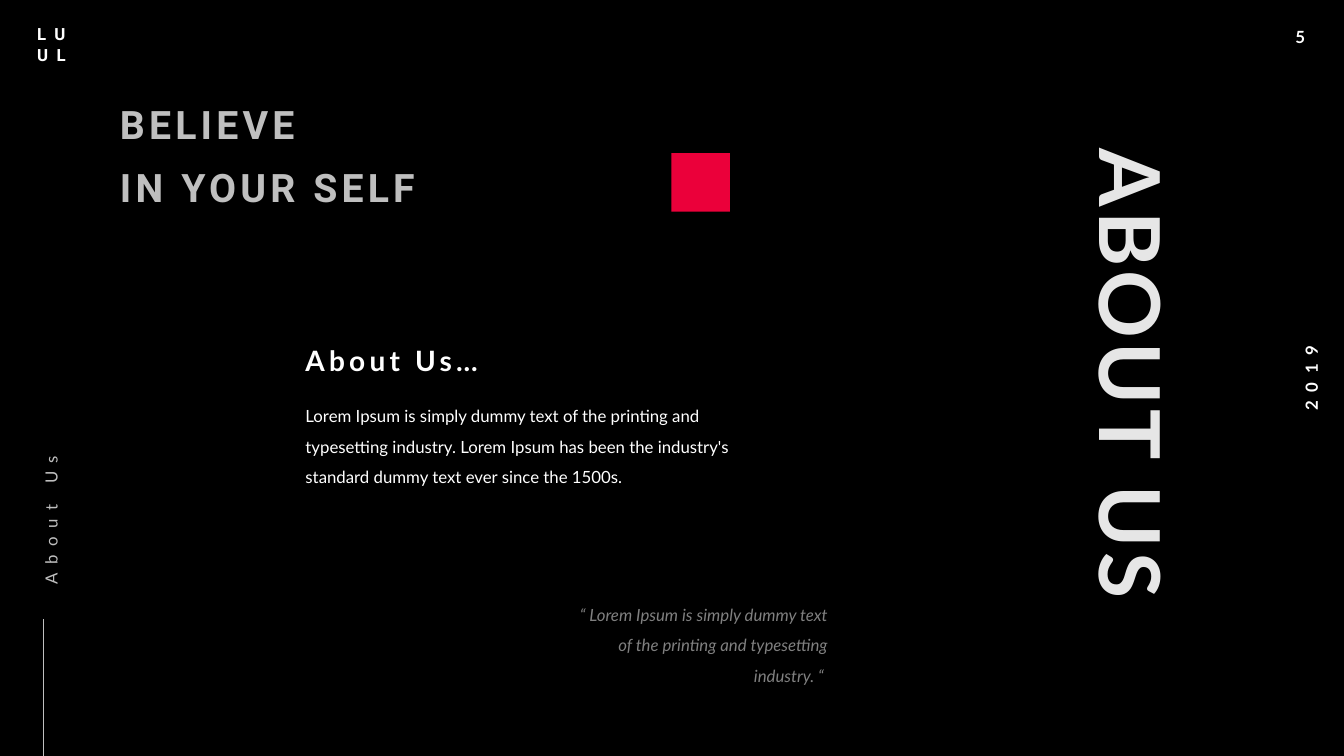
from lxml import etree
from pptx import Presentation
from pptx.dml.color import RGBColor
from pptx.enum.shapes import MSO_CONNECTOR, MSO_SHAPE
from pptx.enum.text import MSO_ANCHOR, MSO_AUTO_SIZE, PP_ALIGN
from pptx.oxml.ns import qn
from pptx.util import Inches, Pt

LEFT, MID, RIGHT = PP_ALIGN.LEFT, PP_ALIGN.CENTER, PP_ALIGN.RIGHT
TOP = MSO_ANCHOR.TOP
GROW = MSO_AUTO_SIZE.SHAPE_TO_FIT_TEXT
RECT = MSO_SHAPE.RECTANGLE
LINE = MSO_CONNECTOR.STRAIGHT

THEME = {
    "color": {
        "black": RGBColor.from_string("000000"),
        "white": RGBColor.from_string("FFFFFF"),
        "pale": RGBColor.from_string("E6E6E6"),
        "silver": RGBColor.from_string("BFBFBF"),
        "gray": RGBColor.from_string("808080"),
        "red": RGBColor.from_string("EB003A"),
    },
    "size": {"text": Pt(12), "head": Pt(20), "motto": Pt(28), "title": Pt(60)},
}
COLOR, SIZE = THEME["color"], THEME["size"]


def place(shape, box, turn=0):
    shape.left, shape.top, shape.width, shape.height = map(Inches, box)
    shape.rotation = turn


def write(shape, lines, size, color, font="Lato", bold=False, italic=False,
          track=0, align=LEFT, pitch=1.0, gap=0, flush=True, wrap=True):
    frame = shape.text_frame
    frame.word_wrap = wrap
    frame.auto_size = GROW
    frame.vertical_anchor = TOP
    if flush:
        frame.margin_left = frame.margin_top = frame.margin_bottom = 0
    for i, line in enumerate(lines):
        para = frame.add_paragraph() if i else frame.paragraphs[0]
        para.alignment = align
        para.line_spacing = pitch
        para.space_before = Pt(gap if i else 0)
        run = para.add_run()
        run.text = line
        run.font.name = font
        run.font.size = SIZE[size]
        run.font.bold = bold
        run.font.italic = italic
        run.font.color.rgb = COLOR[color]
        if track:
            run._r.get_or_add_rPr().set("spc", str(track * 100))


deck = Presentation()
deck.slide_width, deck.slide_height = Inches(13.33), Inches(7.5)
slide = deck.slides.add_slide(deck.slide_layouts[5])
shapes = slide.shapes
slide.background.fill.solid()
slide.background.fill.fore_color.rgb = COLOR["black"]

title = shapes.title
place(title, (7.55, 3.25, 7.37, 1.01), 90)
write(title, ["ABOUT US"], "title", "pale", bold=True, track=3, align=MID)

about = ("Lorem Ipsum is simply dummy text of the printing and typesetting "
         "industry. Lorem Ipsum has been the industry's standard dummy text "
         "ever since the 1500s.")
quote = ("“ Lorem Ipsum is simply dummy text of the printing and "
         "typesetting industry. “ ")
notes = [
    ((3.03, 3.41, 2.6, 0.34), 0, ["About Us…"], "head", "white",
     dict(bold=True, track=3)),
    ((3.03, 3.93, 4.78, 0.87), 0, [about], "text", "white",
     dict(pitch=1.5)),
    ((-0.49, 4.74, 1.85, 0.26), 270, ["About Us"], "text", "silver",
     dict(track=6, pitch=1.5)),
    ((1.19, 0.99, 3.68, 1.11), 0, ["BELIEVE", "IN YOUR SELF"], "motto",
     "silver", dict(font="Roboto", bold=True, track=3, gap=12)),
    ((5.75, 5.9, 2.56, 0.87), 0, [quote], "text", "gray",
     dict(italic=True, align=RIGHT, pitch=1.5)),
    ((12.75, 0.22, 0.3, 0.3), 0, ["5"], "text", "white",
     dict(bold=True, flush=False, wrap=False)),
    ((12.54, 3.6, 0.93, 0.3), 270, ["2019"], "text", "white",
     dict(bold=True, track=6, align=MID, flush=False, wrap=False)),
    ((0.27, 0.19, 0.59, 0.5), 0, ["LU", "UL"], "text", "white",
     dict(font="Roboto", bold=True, track=6, flush=False)),
]
for box, turn, lines, size, color, style in notes:
    note = shapes.add_textbox(0, 0, 0, 0)
    place(note, box, turn)
    write(note, lines, size, color, **style)

rule = shapes.add_connector(LINE, Inches(0.43), Inches(7.5),
                            Inches(0.43), Inches(6.14))
rule.line.color.rgb = COLOR["silver"]
rule.line.width = Pt(0.5)
etree.SubElement(rule._element.spPr, qn("a:effectLst"))

block = shapes.add_shape(RECT, Inches(6.66), Inches(1.52),
                         Inches(0.58), Inches(0.58))
block.shadow.inherit = False
block.fill.solid()
block.fill.fore_color.rgb = COLOR["red"]
block.line.fill.background()

deck.save("out.pptx")
